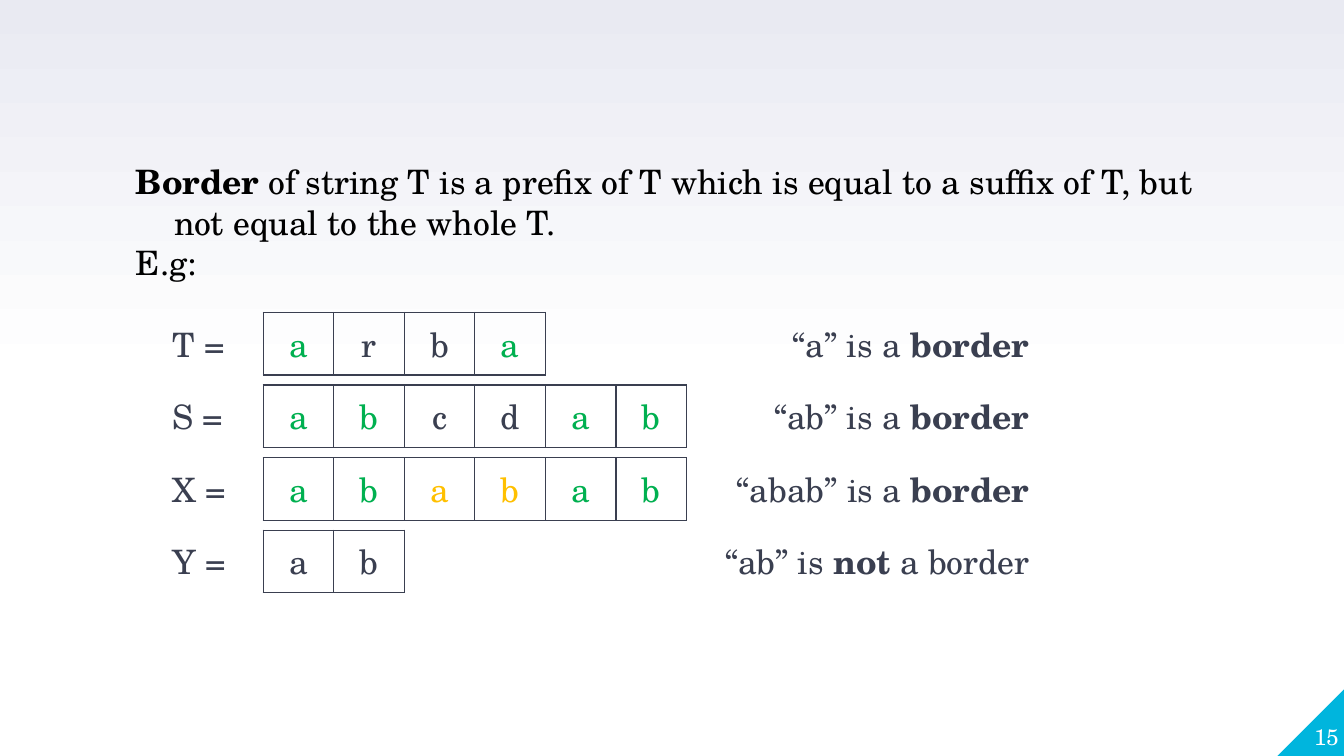
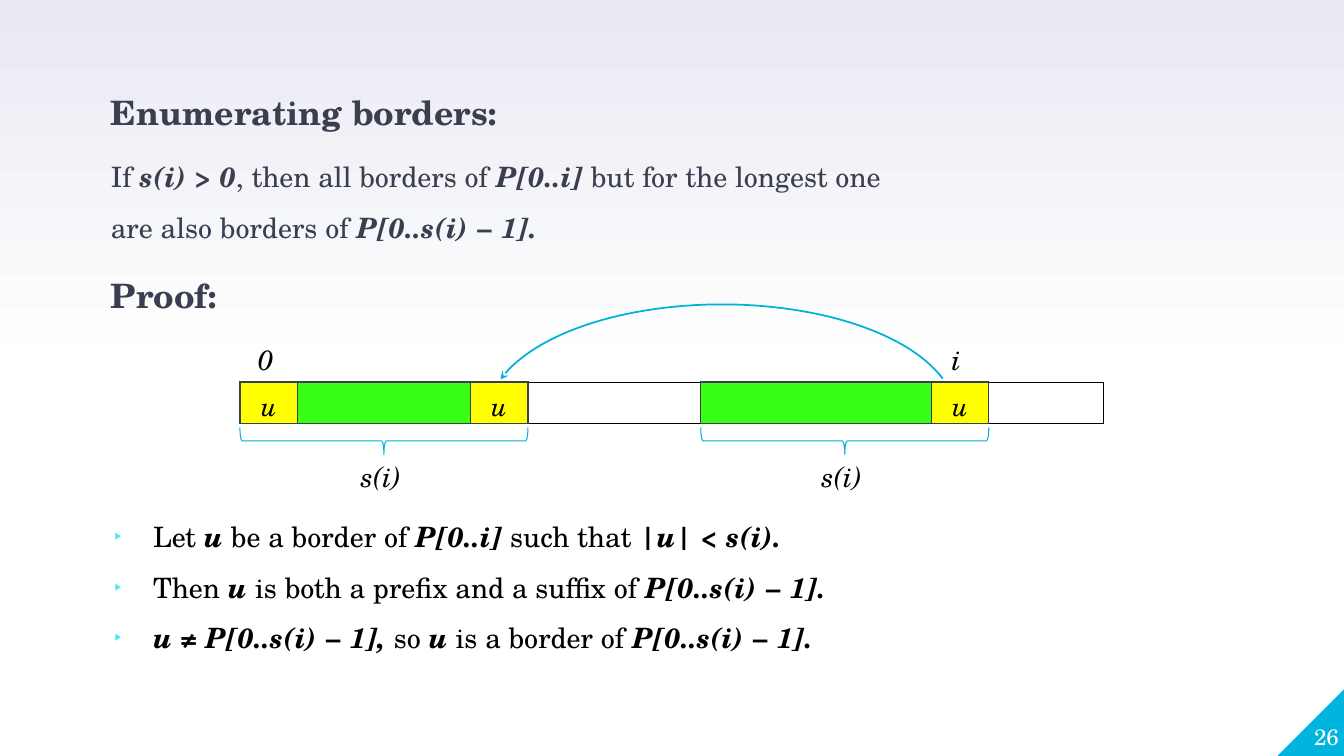
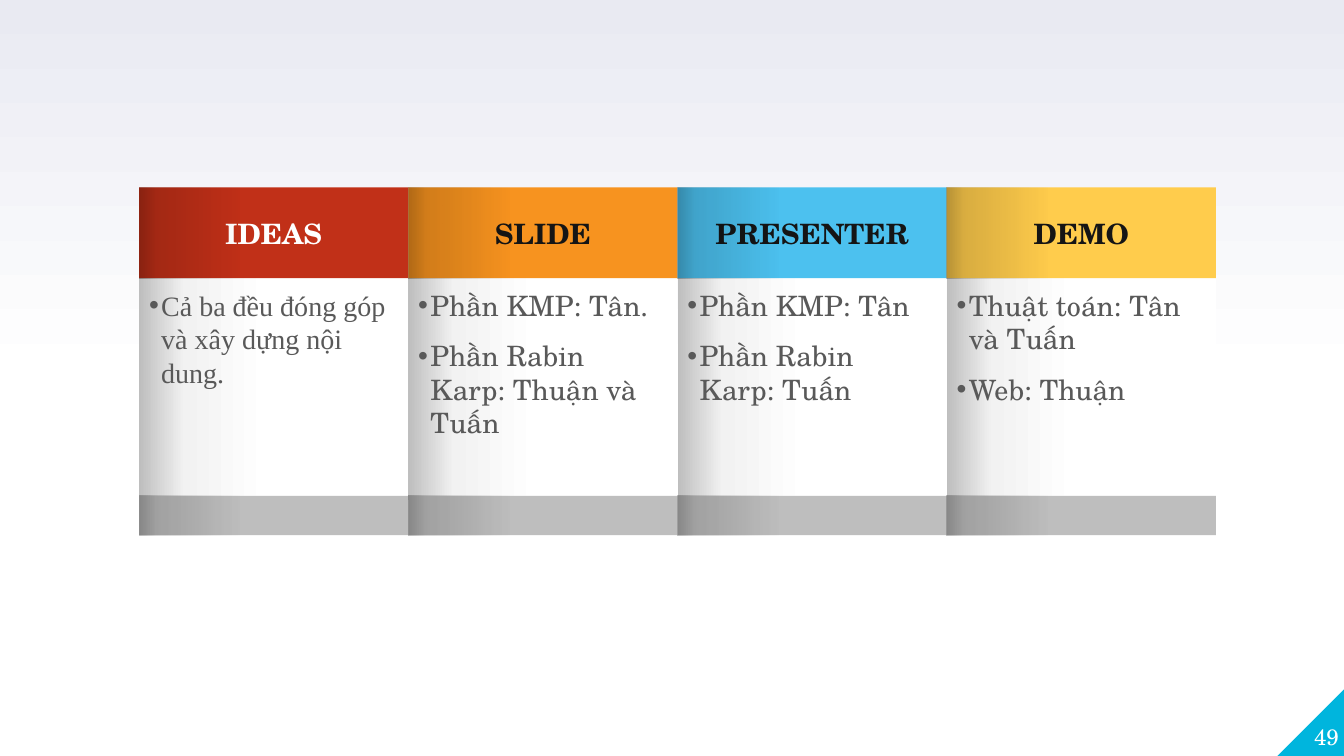
from lxml import etree
from pptx import Presentation
from pptx.dml.color import RGBColor
from pptx.enum import shapes, text
from pptx.oxml import ns
from pptx.util import Inches, Pt

SCHOLA, TIMES = "TeX Gyre Schola", "Times New Roman"
INK = RGBColor(0x3A, 0x3F, 0x50)
BLACK = RGBColor(0, 0, 0)
WHITE = RGBColor(0xFF, 0xFF, 0xFF)
LAVENDER = RGBColor(0xE9, 0xEA, 0xF2)
CORNER = RGBColor(0x00, 0xB5, 0xDD)
CYAN = RGBColor(0x00, 0xB1, 0xD8)
BULLET = RGBColor(0x52, 0xE0, 0xFF)
GREEN = RGBColor(0x00, 0xB0, 0x50)
AMBER = RGBColor(0xFF, 0xC0, 0x00)
LIME = RGBColor(0x39, 0xFF, 0x14)
YELLOW = RGBColor(0xFF, 0xFF, 0x00)
RED = RGBColor(0xC1, 0x30, 0x18)
ORANGE = RGBColor(0xF7, 0x93, 0x1F)
SKY = RGBColor(0x4C, 0xC1, 0xEF)
GOLD = RGBColor(0xFF, 0xCC, 0x4C)
DARK = RGBColor(0x15, 0x15, 0x15)
GREY = RGBColor(0x59, 0x59, 0x59)
SILVER = RGBColor(0xBE, 0xBE, 0xBE)
PALE = RGBColor(0xF2, 0xF2, 0xF2)

BACKDROP = [(0, WHITE, 100), (50, WHITE, 100), (100, LAVENDER, 100)]
PAPER = [(0, WHITE, 100), (52, WHITE, 100), (83, PALE, 100), (100, SILVER, 100)]
SHADE = [(0, BLACK, 0), (52, BLACK, 10), (83, BLACK, 15), (100, BLACK, 29)]
NO_GRID = "{2D5ABB26-0587-4C30-8999-92F81FD0307C}"
CENTER, RIGHT = text.PP_ALIGN.CENTER, text.PP_ALIGN.RIGHT
TOP, MIDDLE, BOTTOM = text.MSO_ANCHOR.TOP, text.MSO_ANCHOR.MIDDLE, text.MSO_ANCHOR.BOTTOM
BOLD = {"bold": True}
BOLD_ITALIC = {"bold": True, "italic": True}


def box(x, y, w, h):
    """Turn a box in inches into lengths."""
    return [Inches(v) for v in (x, y, w, h)]


def sub(parent, tag, **attrs):
    """Append an XML child with attributes."""
    el = etree.SubElement(parent, ns.qn(tag))
    for key, value in attrs.items():
        el.set(key, str(value))
    return el


def gradient(element, fill, stops, angle):
    """Give a fill the listed (position, colour, opacity) stops."""
    fill.gradient()
    fill.gradient_angle = angle
    gs_list = element.find(".//" + ns.qn("a:gsLst"))
    for gs in list(gs_list):
        gs_list.remove(gs)
    for pos, color, opacity in stops:
        clr = sub(sub(gs_list, "a:gs", pos=pos * 1000), "a:srgbClr", val=color)
        if opacity < 100:
            sub(clr, "a:alpha", val=opacity * 1000)


def write(tf, words, size=20, color=BLACK, font=SCHOLA, align=None, bold=False,
          italic=False, em=None, left=0, hang=0, spacing=None, before=None,
          after=None, bullet=None, bullet_color=None, bullet_size=None):
    """Add a paragraph; parts between asterisks take the em format."""
    p = tf.add_paragraph() if tf.text else tf.paragraphs[0]
    p.alignment, p.line_spacing = align, spacing
    p.space_before, p.space_after = before, after
    pPr = p._p.get_or_add_pPr()
    pPr.set("marL", str(Inches(left)))
    pPr.set("indent", str(-Inches(hang)))
    if bullet_color is not None:
        sub(sub(pPr, "a:buClr"), "a:srgbClr", val=bullet_color)
    if bullet_size:
        sub(pPr, "a:buSzPct", val=bullet_size * 1000)
    if bullet:
        sub(pPr, "a:buFont", typeface="Arial")
        sub(pPr, "a:buChar", char=bullet)
    for i, part in enumerate(words.split("*")):
        if not part:
            continue
        r = p.add_run()
        r.text = part
        style = {"bold": bold, "italic": italic, **(em if em and i % 2 else {})}
        r.font.name, r.font.size = font, Pt(size)
        r.font.bold, r.font.italic = style["bold"], style["italic"]
        r.font.color.rgb = color


def frame(sp, margins=(0.1, 0.05, 0.1, 0.05), anchor=TOP, wrap=True):
    """Set up the text frame of a shape and return it."""
    tf = sp.text_frame
    tf.word_wrap, tf.vertical_anchor = wrap, anchor
    tf.auto_size = text.MSO_AUTO_SIZE.NONE if wrap else text.MSO_AUTO_SIZE.SHAPE_TO_FIT_TEXT
    tf.margin_left, tf.margin_top, tf.margin_right, tf.margin_bottom = map(Inches, margins)
    return tf


def textbox(parent, x, y, w, h, **kw):
    """Add a text box and return its text frame."""
    return frame(parent.add_textbox(*box(x, y, w, h)), **kw)


def shape(parent, kind, x, y, w, h, fill=None, stops=None, line=None, width=0.75):
    """Add a flat preset shape."""
    sp = parent.add_shape(kind, *box(x, y, w, h))
    sp.shadow.inherit = False
    if stops:
        gradient(sp._element, sp.fill, stops, 180)
    elif fill is not None:
        sp.fill.solid()
        sp.fill.fore_color.rgb = fill
    else:
        sp.fill.background()
    if line is None:
        sp.line.fill.background()
    else:
        sp.line.color.rgb, sp.line.width = line, Pt(width)
    return sp


def rect(parent, x, y, w, h, **kw):
    """Add a flat rectangle."""
    return shape(parent, shapes.MSO_SHAPE.RECTANGLE, x, y, w, h, **kw)


def table(s, x, y, widths, height):
    """Add a plain one-row table and return its cells."""
    gf = s.shapes.add_table(1, len(widths), *box(x, y, sum(widths), height))
    tbl = gf.table
    tbl.first_row = tbl.horz_banding = False
    gf._element.find(".//" + ns.qn("a:tableStyleId")).text = NO_GRID
    for col, w in zip(tbl.columns, widths):
        col.width = Inches(w)
    return list(tbl.rows[0].cells)


def style_cell(cell, sides, color=INK, width=1, fill=None):
    """Draw the named sides (LRTB) of a cell and fill it."""
    tcPr = cell._tc.get_or_add_tcPr()
    for side in "LRTB":
        if side in sides:
            ln = sub(tcPr, "a:ln" + side, w=Pt(width))
            sub(sub(ln, "a:solidFill"), "a:srgbClr", val=color)
    cell.vertical_anchor = MIDDLE
    if fill is None:
        cell.fill.background()
    else:
        cell.fill.solid()
        cell.fill.fore_color.rgb = fill


def new_slide(prs, number, layout=6):
    """Add a slide with the numbered corner."""
    s = prs.slides.add_slide(prs.slide_layouts[layout])
    corner = shape(s.shapes, shapes.MSO_SHAPE.RIGHT_TRIANGLE, 12.67, 6.82, 0.68, 0.68, fill=CORNER)
    corner._element.spPr.find(ns.qn("a:xfrm")).set("flipH", "1")
    tf = textbox(s.shapes, 12.61, 6.76, 0.67, 0.68, margins=(0, 0, 0, 0), anchor=BOTTOM)
    write(tf, str(number), size=16, color=WHITE, align=RIGHT)
    return s


def string_row(s, x, y, w, name, letters, colors, verdict):
    """Show a string letter by letter with a remark on the right."""
    label_w, letter_w = 1, 0.7
    rest = w - label_w - letter_w * len(letters)
    cells = table(s, x, y, [label_w] + [letter_w] * len(letters) + [rest], 0.62)
    label, *boxes, remark = cells
    style_cell(label, "R")
    write(label.text_frame, name + " =", size=24, color=INK)
    for cell, letter, color in zip(boxes, letters, colors):
        style_cell(cell, "LRTB")
        write(cell.text_frame, letter, size=24, align=CENTER,
              color={"g": GREEN, "y": AMBER, "k": INK}[color])
    style_cell(remark, "L")
    write(remark.text_frame, verdict, size=24, color=INK, align=RIGHT, em=BOLD)


def definition_slide(prs):
    """Define a border and give four examples."""
    s = new_slide(prs, 15)
    tf = textbox(s.shapes, 1.25, 1.55, 10.83, 1.4)
    for words in ("*Border* of string T is a prefix of T which is equal to a suffix of T, "
                  "but not equal to the whole T.", "E.g:"):
        write(tf, words, size=24, em=BOLD, left=0.38, hang=0.38)
    rows = [("T", "arba", "gkkg", "“a” is a *border*"),
            ("S", "abcdab", "ggkkgg", "“ab” is a *border*"),
            ("X", "ababab", "ggyygg", "“abab” is a *border*"),
            ("Y", "ab", "kk", "“ab” is *not* a border")]
    for i, row in enumerate(rows):
        string_row(s, 1.61, 3.1 + 0.72 * i, 8.7, *row)


def strip(s, x, y, unit, count, fill=None, color=INK, width=1, words=""):
    """Draw an outlined run of equal cells."""
    cells = table(s, x, y, [unit] * count, 0.41)
    for i, cell in enumerate(cells):
        sides = "TB" + "L" * (i == 0) + "R" * (i == count - 1)
        style_cell(cell, sides, color, width, fill)
        if words:
            write(cell.text_frame, words, size=18.7, italic=True, align=CENTER)


def brace(s, x, y, w):
    """Put a labelled brace under a span."""
    group = s.shapes.add_group_shape().shapes
    depth, mid = 0.27, x + w / 2
    sp = shape(group, shapes.MSO_SHAPE.LEFT_BRACE, mid - depth / 2, y + (depth - w) / 2,
               depth, w, line=CYAN)
    sp.rotation = 270
    tf = textbox(group, mid - 0.33, y + 0.27, 0.63, 0.44, wrap=False)
    write(tf, "s(i)", italic=True)


def pattern_diagram(s, x, y, w):
    """Draw the pattern with its borders marked."""
    unit = w / 15
    strip(s, x, y, unit, 15, color=BLACK, width=0.75)
    for label, dx, label_w in (("0", 0.08, 0.34), ("i", 6.96, 0.29)):
        tf = textbox(s.shapes, x + dx, y - 0.44, label_w, 0.44, wrap=False)
        write(tf, label, italic=True)
    for start in (0, 8):
        strip(s, x + start * unit, y, unit, 5, fill=LIME)
        brace(s, x + start * unit, y + 0.45, 5 * unit)
    for start in (0, 4, 12):
        strip(s, x + start * unit, y, unit, 1, fill=YELLOW, words="u")
    arc = shape(s.shapes, shapes.MSO_SHAPE.ARC, x + 2.46, y - 0.77, 4.64, 2.2, line=CYAN, width=1.25)
    arc.adjustments[0], arc.adjustments[1] = 113.51, 210.35
    sub(arc.line._get_or_add_ln(), "a:headEnd", type="stealth")


def proof_slide(prs):
    """State the border lemma and prove it."""
    s = new_slide(prs, 26, layout=5)
    title = s.shapes.title
    title.left, title.top, title.width, title.height = box(0.67, 0.71, 8.23, 0.6)
    heading = dict(size=24, color=INK, bold=True, left=0.43, spacing=1.5, align=text.PP_ALIGN.LEFT)
    flush = (0, 0, 0, 0)
    write(frame(title, margins=flush), "Enumerating borders:", **heading)
    tf = textbox(s.shapes, 0.67, 1.42, 8.23, 1.75, margins=flush)
    write(tf, "If *s(i) > 0*, then all borders of *P[0..i] *but for the longest one "
              "are also borders of *P[0..s(i) − 1].*",
          color=INK, em=BOLD_ITALIC, left=0.43, spacing=1.5)
    write(tf, "Proof:", before=Pt(8), **heading)
    pattern_diagram(s, 2.38, 3.79, 8.57)
    tf = textbox(s.shapes, 0.67, 4.94, 9.26, 1.57)
    for words in ("Let *u* be a border of *P[0..i] *such that *|u| < s(i).*",
                  "Then *u *is both a prefix and a suffix of *P[0..s(i) − 1].*",
                  "*u ≠ P[0..s(i) − 1], *so *u* is a border of *P[0..s(i) − 1].*"):
        write(tf, words, em=BOLD_ITALIC, left=0.75, hang=0.38, spacing=1.5,
              bullet="▶", bullet_color=BULLET, bullet_size=35)


def shaded_band(s, x, y, w, h, fills):
    """Draw a row of equal blocks, shaded on the left, and return them."""
    group = s.shapes.add_group_shape().shapes
    blocks = []
    for i, fill in enumerate(fills):
        blocks.append(rect(group, x + i * w, y, w, h, fill=fill))
        rect(group, x + i * w, y, 1.01, h, stops=SHADE)
    return blocks


def credits_slide(prs):
    """List who did what in four columns."""
    s = new_slide(prs, 49)
    x, w = 1.38, 2.67
    columns = [("IDEAS", RED, WHITE, TIMES, ["Cả ba đều đóng góp và xây dựng nội dung."]),
               ("SLIDE", ORANGE, DARK, SCHOLA, ["Phần KMP: Tân.", "Phần Rabin Karp: Thuận và Tuấn"]),
               ("PRESENTER", SKY, DARK, SCHOLA, ["Phần KMP: Tân", "Phần Rabin Karp: Tuấn"]),
               ("DEMO", GOLD, DARK, SCHOLA, ["Thuật toán: Tân và Tuấn", "Web: Thuận"])]
    for i, (_, _, _, font, items) in enumerate(columns):
        panel = rect(s.shapes, x + i * w, 2.76, w, 2.2, stops=PAPER)
        tf = frame(panel, margins=(0.1, 0.1, 0.2, 0.05))
        for item in items:
            write(tf, item, color=GREY, font=font, align=text.PP_ALIGN.LEFT,
                  left=0.12, hang=0.12, after=Pt(12), bullet="•")
    heads = shaded_band(s, x, 1.86, w, 0.9, [c[1] for c in columns])
    for head, (name, _, color, _, _) in zip(heads, columns):
        tf = frame(head, margins=(0, 0.05, 0, 0.05), anchor=MIDDLE)
        write(tf, name, color=color, bold=True, align=CENTER)
    shaded_band(s, x, 4.92, w, 0.39, [SILVER] * len(columns))


def main():
    """Build the deck."""
    prs = Presentation()
    prs.slide_width, prs.slide_height = Inches(13.33), Inches(7.5)
    master = prs.slide_master
    gradient(master.element, master.background.fill, BACKDROP, 90)
    definition_slide(prs)
    proof_slide(prs)
    credits_slide(prs)
    prs.save("out.pptx")


if __name__ == "__main__":
    main()
